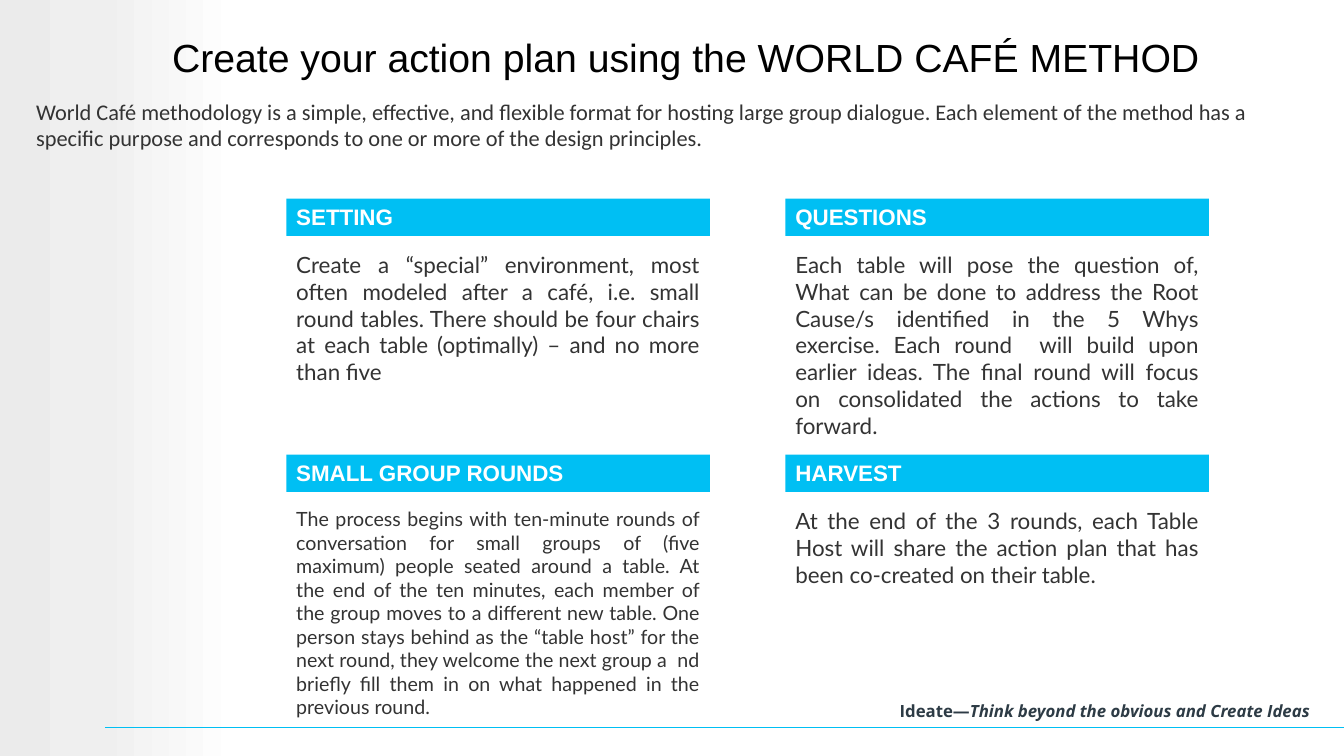
from copy import deepcopy
from dataclasses import dataclass

from lxml import etree
from pptx import Presentation
from pptx.dml.color import RGBColor
from pptx.enum.shapes import MSO_CONNECTOR, MSO_SHAPE
from pptx.enum.text import MSO_ANCHOR, PP_ALIGN
from pptx.oxml.ns import qn
from pptx.shapes.autoshape import Shape
from pptx.slide import Slide
from pptx.text.text import Font
from pptx.util import Inches, Pt

RECTANGLE = MSO_SHAPE.RECTANGLE
STRAIGHT = MSO_CONNECTOR.STRAIGHT
MIDDLE = MSO_ANCHOR.MIDDLE
TOP = MSO_ANCHOR.TOP
LEFT, CENTER, JUSTIFY = PP_ALIGN.LEFT, PP_ALIGN.CENTER, PP_ALIGN.JUSTIFY

SLIDE_WIDTH, SLIDE_HEIGHT = 13.33, 7.5
TITLE_ONLY_LAYOUT = 5
MARGIN = 0.26

GRID_LEFT, GRID_TOP = 2.84, 1.97
COLUMN_PITCH, ROW_PITCH = 4.95, 2.54
CARD_WIDTH, HEADING_HEIGHT, BODY_OFFSET = 4.2, 0.37, 0.47

ACCENT, WHITE, BLACK = "00BFF3", "FFFFFF", "000000"
BODY_COLOUR, FOOTER_COLOUR = "333333", "2D3B45"
BAND_STOPS = [(0, "EBEBEB"), (0.42, "EFEFEF"), (1, "FFFFFF")]


@dataclass(frozen=True)
class Box:
    left: float
    top: float
    width: float
    height: float

    def lengths(self) -> list[Inches]:
        return [Inches(n) for n in (self.left, self.top, self.width, self.height)]


@dataclass(frozen=True)
class TextStyle:
    face: str
    size: int
    colour: str
    bold: bool = False
    align: PP_ALIGN = LEFT


@dataclass(frozen=True)
class Card:
    column: int
    row: int
    heading: str
    body: str
    body_height: float
    body_size: int = 16


CARDS = [
    Card(0, 0, "SETTING",
         "Create a “special” environment, most often modeled after a café, i.e. small "
         "round tables. There should be four chairs at each table (optimally) – and no "
         "more than five", 1.18),
    Card(1, 0, "QUESTIONS",
         "Each table will pose the question of, What can be done to address the Root "
         "Cause/s identified in the 5 Whys exercise. Each round  will build upon earlier "
         "ideas. The final round will focus on consolidated the actions to take forward.",
         1.72),
    Card(0, 1, "SMALL GROUP ROUNDS",
         "The process begins with ten-minute rounds of conversation for small groups of "
         "(five maximum) people seated around a table. At the end of the ten minutes, each "
         "member of the group moves to a different new table. One person stays behind as "
         "the “table host” for the next round, they welcome the next group a  nd briefly "
         "fill them in on what happened in the previous round.", 2.22, 14),
    Card(1, 1, "HARVEST",
         "At the end of the 3 rounds, each Table Host will share the action plan that has "
         "been co-created on their table.", 0.91),
]
INTRO = ("World Café methodology is a simple, effective, and flexible format for hosting "
         "large group dialogue. Each element of the method has a specific purpose and "
         "corresponds to one or more of the design principles.")

TITLE_STYLE = TextStyle("Arial", 28, BLACK, align=CENTER)
HEADING_STYLE = TextStyle("Arial", 16, WHITE, bold=True)
INTRO_STYLE = TextStyle("Calibri", 16, BODY_COLOUR)
FOOTER_STYLE = TextStyle("Open Sans", 12, FOOTER_COLOUR, bold=True, align=CENTER)


def rgb(colour: str) -> RGBColor:
    return RGBColor.from_string(colour)


def apply_font(font: Font, style: TextStyle) -> None:
    font.name, font.size, font.bold = style.face, Pt(style.size), style.bold
    font.color.rgb = rgb(style.colour)


def write(shape: Shape, text: str, style: TextStyle, anchor: MSO_ANCHOR = TOP) -> None:
    frame = shape.text_frame
    frame.word_wrap = True
    frame.vertical_anchor = anchor
    frame.text = text
    para = frame.paragraphs[0]
    para.alignment = style.align
    apply_font(para.font, style)


def add_text(page: Slide, box: Box, text: str, style: TextStyle) -> Shape:
    shape = page.shapes.add_textbox(*box.lengths())
    write(shape, text, style)
    return shape


def add_rectangle(page: Slide, box: Box) -> Shape:
    shape = page.shapes.add_shape(RECTANGLE, *box.lengths())
    shape.shadow.inherit = False
    shape.line.fill.background()
    return shape


def add_title(page: Slide) -> None:
    title = page.shapes.title
    title.left, title.top, title.width, title.height = Box(
        MARGIN, 0.03, 13.08, 1.13).lengths()
    write(title, "Create your action plan using the WORLD CAFÉ METHOD", TITLE_STYLE, MIDDLE)
    title.text_frame.paragraphs[0].line_spacing = 0.9


def add_side_band(page: Slide) -> None:
    """Draw the grey gradient at the left, behind the title."""
    band = add_rectangle(page, Box(0, 0, 2.36, SLIDE_HEIGHT))
    band.fill.gradient()
    band.fill.gradient_angle = 0
    stop_list = band.element.spPr.find(".//" + qn("a:gsLst"))
    stop_list.append(deepcopy(stop_list[-1]))
    for stop, (position, colour) in zip(band.fill.gradient_stops, BAND_STOPS):
        stop.position = position
        stop.color.rgb = rgb(colour)
    page.shapes.title.element.addprevious(band.element)


def add_footer_rule(page: Slide) -> None:
    height = Inches(7.22)
    rule = page.shapes.add_connector(
        STRAIGHT, Inches(1.04), height, Inches(SLIDE_WIDTH), height)
    rule.line.color.rgb = rgb(ACCENT)
    rule.line.width = Pt(1)
    etree.SubElement(rule.element.spPr, qn("a:effectLst"))
    page.shapes.title.element.addprevious(rule.element)


def add_card(page: Slide, card: Card) -> None:
    left = GRID_LEFT + card.column * COLUMN_PITCH
    top = GRID_TOP + card.row * ROW_PITCH
    body_style = TextStyle("Lato", card.body_size, BODY_COLOUR, align=JUSTIFY)
    add_text(page, Box(left, top + BODY_OFFSET, CARD_WIDTH, card.body_height),
             card.body, body_style)
    heading = add_rectangle(page, Box(left, top, CARD_WIDTH, HEADING_HEIGHT))
    heading.fill.solid()
    heading.fill.fore_color.rgb = rgb(ACCENT)
    write(heading, card.heading, HEADING_STYLE)


def add_footer(page: Slide) -> None:
    footer = add_text(page, Box(8.26, 6.9, 5.4, 0.3), "Ideate—", FOOTER_STYLE)
    motto = footer.text_frame.paragraphs[0].add_run()
    motto.text = "Think beyond the obvious and Create Ideas"
    motto.font.italic = True


def main() -> None:
    deck = Presentation()
    deck.slide_width, deck.slide_height = Inches(SLIDE_WIDTH), Inches(SLIDE_HEIGHT)
    page = deck.slides.add_slide(deck.slide_layouts[TITLE_ONLY_LAYOUT])
    add_title(page)
    add_side_band(page)
    add_footer_rule(page)
    for card in CARDS:
        add_card(page, card)
    add_text(page, Box(MARGIN, 0.92, 12.34, 0.62), INTRO, INTRO_STYLE)
    add_footer(page)
    deck.save("out.pptx")


if __name__ == "__main__":
    main()
